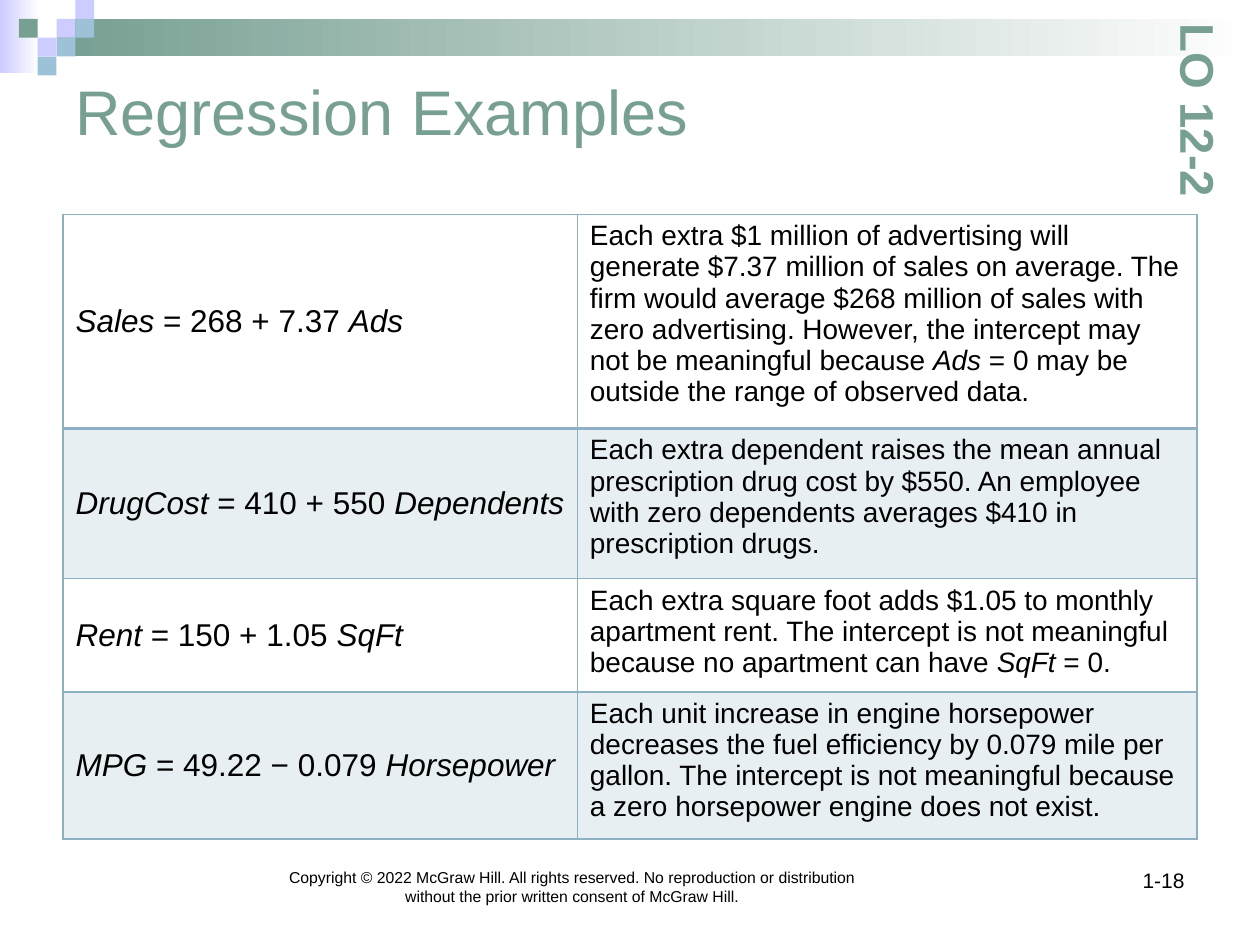
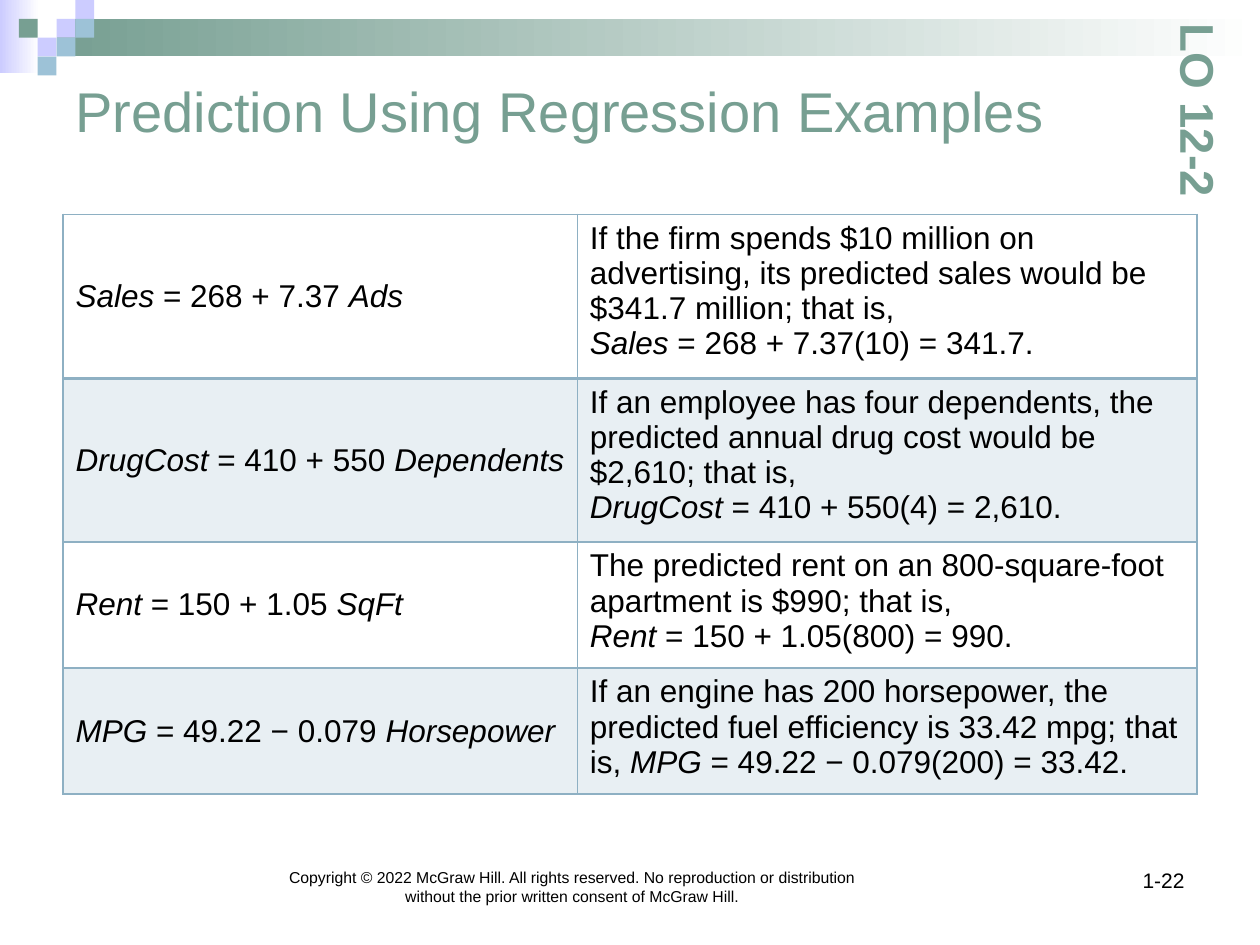
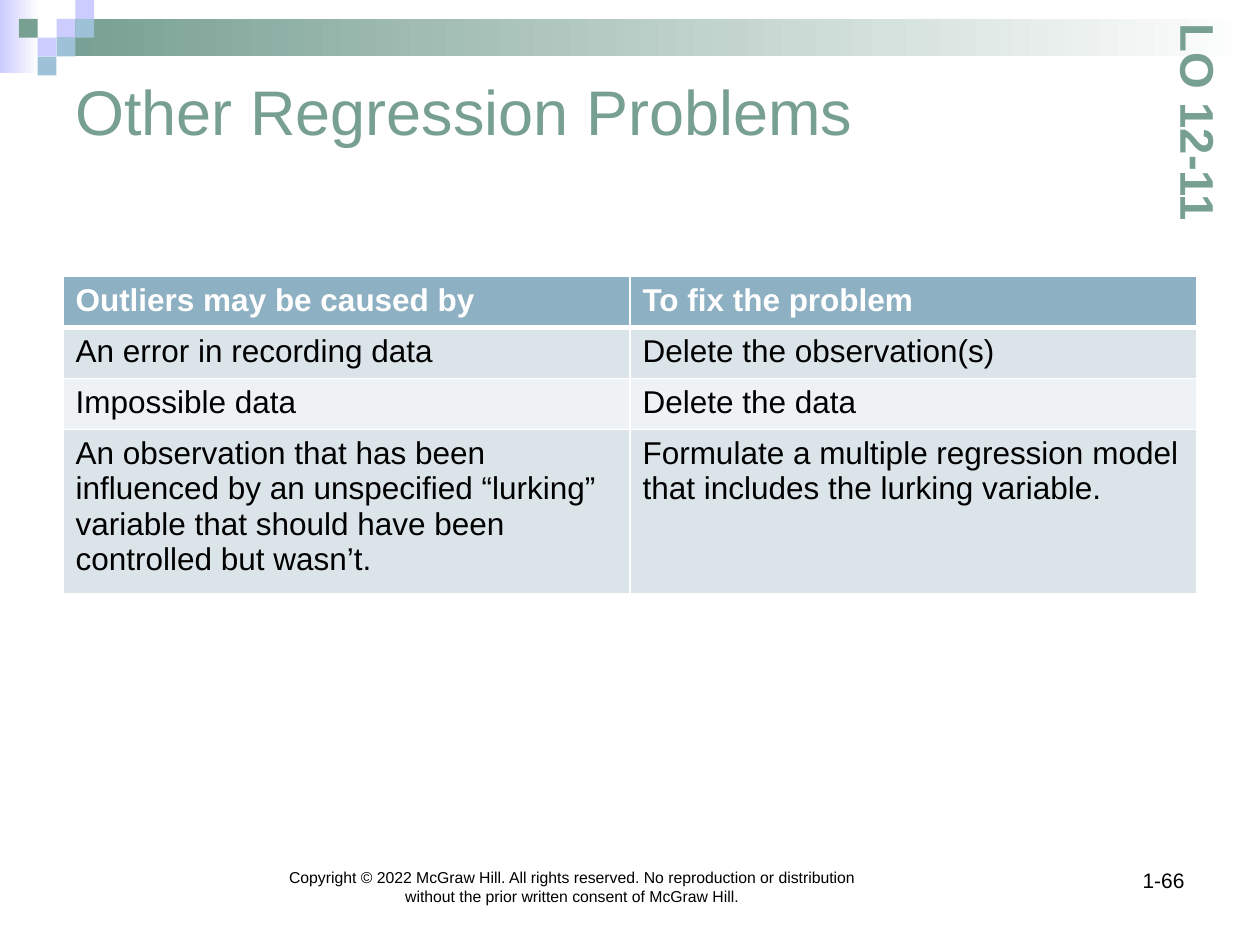
from lxml.etree import SubElement
from pptx import Presentation
from pptx.dml.color import RGBColor
from pptx.enum.shapes import MSO_SHAPE as Shape
from pptx.enum.text import MSO_ANCHOR as Anchor, PP_ALIGN as Align
from pptx.oxml.ns import qn
from pptx.util import Cm, Pt

COLOURS = {
    "green": "779F92", "lilac": "CCCCFF", "sky": "9DC2D7", "white": "FFFFFF",
    "black": "000000", "steel": "8EB0C3", "steel tint": "E8EFF3",
    "steel band": "DBE4E9", "pale band": "EEF2F5",
}
FONT = "Arial"
COPYRIGHT = ("Copyright © 2022 McGraw Hill. All rights reserved. No reproduction or "
             "distribution without the prior written consent of McGraw Hill.")
TILE = 0.38
TILES = [  # column, row, colour
    (3, 1, "lilac"), (4, 0, "lilac"), (4, 1, "sky"), (2, 2, "lilac"),
    (1, 1, "green"), (3, 2, "sky"), (2, 3, "sky"),
]
ROW_HEIGHT = 1.03  # rows grow with their text
EQUATIONS = ["*Sales* = 268 + 7.37 *Ads*", "*DrugCost* = 410 + 550 *Dependents*",
             "*Rent* = 150 + 1.05 *SqFt*", "*MPG* = 49.22 − 0.079 *Horsepower*"]
MEANINGS = [
    "Each extra $1 million of advertising will generate $7.37 million of sales on average. "
    "The firm would average $268 million of sales with zero advertising. However, the "
    "intercept may not be meaningful because *Ads* = 0 may be outside the range of observed data.",
    "Each extra dependent raises the mean annual prescription drug cost by $550. An employee "
    "with zero dependents averages $410 in prescription drugs.",
    "Each extra square foot adds $1.05 to monthly apartment rent. The intercept is not "
    "meaningful because no apartment can have *SqFt* = 0.",
    "Each unit increase in engine horsepower decreases the fuel efficiency by 0.079 mile per "
    "gallon. The intercept is not meaningful because a zero horsepower engine does not exist.",
]
PREDICTIONS = [
    "If the firm spends $10 million on advertising, its predicted sales would be "
    "$341.7 million; that is,\n*Sales* = 268 + 7.37(10) = 341.7.",
    "If an employee has four dependents, the predicted annual drug cost would be "
    "$2,610; that is,\n*DrugCost* = 410 + 550(4) = 2,610.",
    "The predicted rent on an 800-square-foot apartment is $990; that is,\n"
    "*Rent* = 150 + 1.05(800) = 990.",
    "If an engine has 200 horsepower, the predicted fuel efficiency is 33.42 mpg; that is, "
    "*MPG* = 49.22 − 0.079(200) = 33.42.",
]
OUTLIERS = [
    ("Outliers may be caused by", "To fix the problem"),
    ("An error in recording data", "Delete the observation(s)"),
    ("Impossible data", "Delete the data"),
    ("An observation that has been influenced by an unspecified “lurking” variable that "
     "should have been controlled but wasn’t.",
     "Formulate a multiple regression model that includes the lurking variable."),
]


def colour(name):
    return RGBColor.from_string(COLOURS[name])


def style_font(font, size, name, bold=False):
    font.name, font.size, font.bold = FONT, Pt(size), bold
    font.color.rgb = colour(name)


def add_text(page, box, text, size, name="black", bold=False, align=Align.LEFT,
             anchor=Anchor.TOP):
    label = page.shapes.add_textbox(*map(Cm, box))
    frame = label.text_frame
    frame.word_wrap = True
    frame.vertical_anchor = anchor
    frame.text = text
    para = frame.paragraphs[0]
    para.alignment = align
    style_font(para.runs[0].font, size, name, bold)
    return label


def add_block(page, box, name, fade=False):
    block = page.shapes.add_shape(Shape.RECTANGLE, *map(Cm, box))
    block.shadow.inherit = False
    block.line.fill.background()
    if fade:
        block.fill.gradient()
        block.fill.gradient_angle = 0
        for stop, shade, position in zip(block.fill.gradient_stops, (name, "white"), (0, 1)):
            stop.color.rgb = colour(shade)
            stop.position = position
    else:
        block.fill.solid()
        block.fill.fore_color.rgb = colour(name)


def add_band(page, box):
    """Fading bars with the tile pattern in the top left corner."""
    left, top, width = box
    add_block(page, (left, top, 0.79, 1.48), "lilac", fade=True)
    start = 3 * TILE
    add_block(page, (left + start, top + TILE, width - start, 2 * TILE), "green", fade=True)
    for column, row, name in TILES:
        add_block(page, (left + column * TILE, top + row * TILE, TILE, TILE), name)


def add_footer(page, box, number):
    left, top, width, height = box
    add_text(page, (left, top, 12.5, height), COPYRIGHT, 9, align=Align.CENTER)
    add_text(page, (left + width - 5.92, top, 5.92, height), number, 12, align=Align.RIGHT)


def new_page(deck, title, title_size, objective, number):
    """Everything the slides share: band, title, footer and objective tag."""
    page = deck.slides.add_slide(deck.slide_layouts[6])
    add_band(page, (0, 0, 25.4))
    add_text(page, (1.27, 1.27, 22.86, 1.91), title, title_size, "green", anchor=Anchor.MIDDLE)
    add_footer(page, (5.28, 17.36, 18.85, 1.27), number)
    tag = add_text(page, (21.81, 1.82, 4.65, 1.47), objective, 27, "green", bold=True)
    tag.rotation = 90
    return page


def write_cell(cell, text, size, name, bold):
    """Fill a cell; text between asterisks is italic."""
    para = cell.text_frame.paragraphs[0]
    for index, piece in enumerate(text.split("*")):
        for line_number, line in enumerate(piece.split("\n")):
            if line_number:
                para.add_line_break()
            if line:
                span = para.add_run()
                span.text = line
                style_font(span.font, size, name, bold)
                span.font.italic = index % 2 == 1


def set_borders(cell, name, top, bottom):
    properties = cell._tc.get_or_add_tcPr()
    for side, width in (("L", 1), ("R", 1), ("T", top), ("B", bottom)):
        line = SubElement(properties, qn(f"a:ln{side}"), w=str(Pt(width)))
        fill = SubElement(line, qn("a:solidFill"))
        SubElement(fill, qn("a:srgbClr"), val=COLOURS[name])


def add_grid(page, box, rows, widths, fills, border, rule, sizes=(18, 18),
             header=False, first_anchor=Anchor.TOP):
    """Table whose first row is closed by a thicker rule."""
    left, top, height = box
    frame = page.shapes.add_table(len(rows), len(widths), Cm(left), Cm(top),
                                  Cm(sum(widths)), Cm(height))
    table = frame.table
    table.first_row, table.horz_banding = header, False
    for column, width in zip(table.columns, widths):
        column.width = Cm(width)
    for row_index, (texts, fill) in enumerate(zip(rows, fills)):
        table.rows[row_index].height = Cm(ROW_HEIGHT)
        is_header = header and row_index == 0
        for column_index, text in enumerate(texts):
            cell = table.cell(row_index, column_index)
            write_cell(cell, text, sizes[column_index],
                       "white" if is_header else "black", is_header)
            cell.vertical_anchor = Anchor.TOP if column_index else first_anchor
            set_borders(cell, border, rule if row_index == 1 else 1,
                        rule if row_index == 0 else 1)
            if fill:
                cell.fill.solid()
                cell.fill.fore_color.rgb = colour(fill)
            else:
                cell.fill.background()
    frame.height = Cm(height)
    return table


def add_equations(page, box, notes, note_size):
    return add_grid(page, box, list(zip(EQUATIONS, notes)), (10.37, 12.49),
                    (None, "steel tint") * 2, "steel", 2, (18, note_size),
                    first_anchor=Anchor.MIDDLE)


def main():
    deck = Presentation()
    deck.slide_width, deck.slide_height = Cm(25.4), Cm(19.05)

    # Interpreting the equations
    page = new_page(deck, "Regression Examples", 36, "LO 12-2", "1-18")
    table = add_equations(page, (1.27, 4.32, 12.62), MEANINGS, 16)
    table.cell(1, 1).margin_bottom = Cm(0.19)

    # Predicting with the equations
    page = new_page(deck, "Prediction Using Regression Examples", 32, "LO 12-2", "1-22")
    add_equations(page, (1.27, 4.32, 11.68), PREDICTIONS, 18)

    # Causes of outliers
    page = new_page(deck, "Other Regression Problems", 36, "LO 12-11", "1-66")
    add_grid(page, (1.27, 5.57, 6.4), OUTLIERS, (11.43, 11.43),
             ("steel", "steel band", "pale band", "steel band"), "white", 3, header=True)

    deck.save("out.pptx")


if __name__ == "__main__":
    main()
